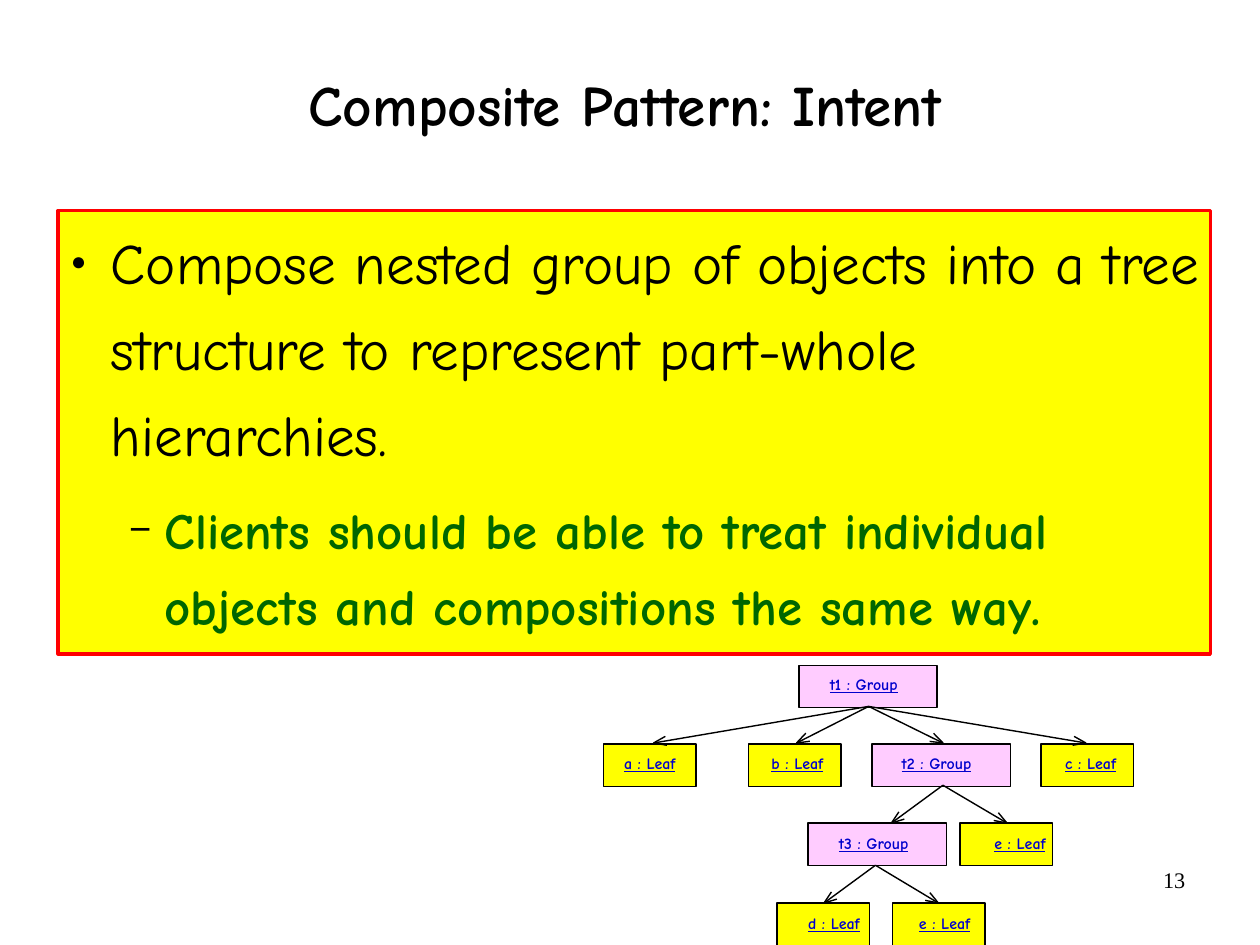
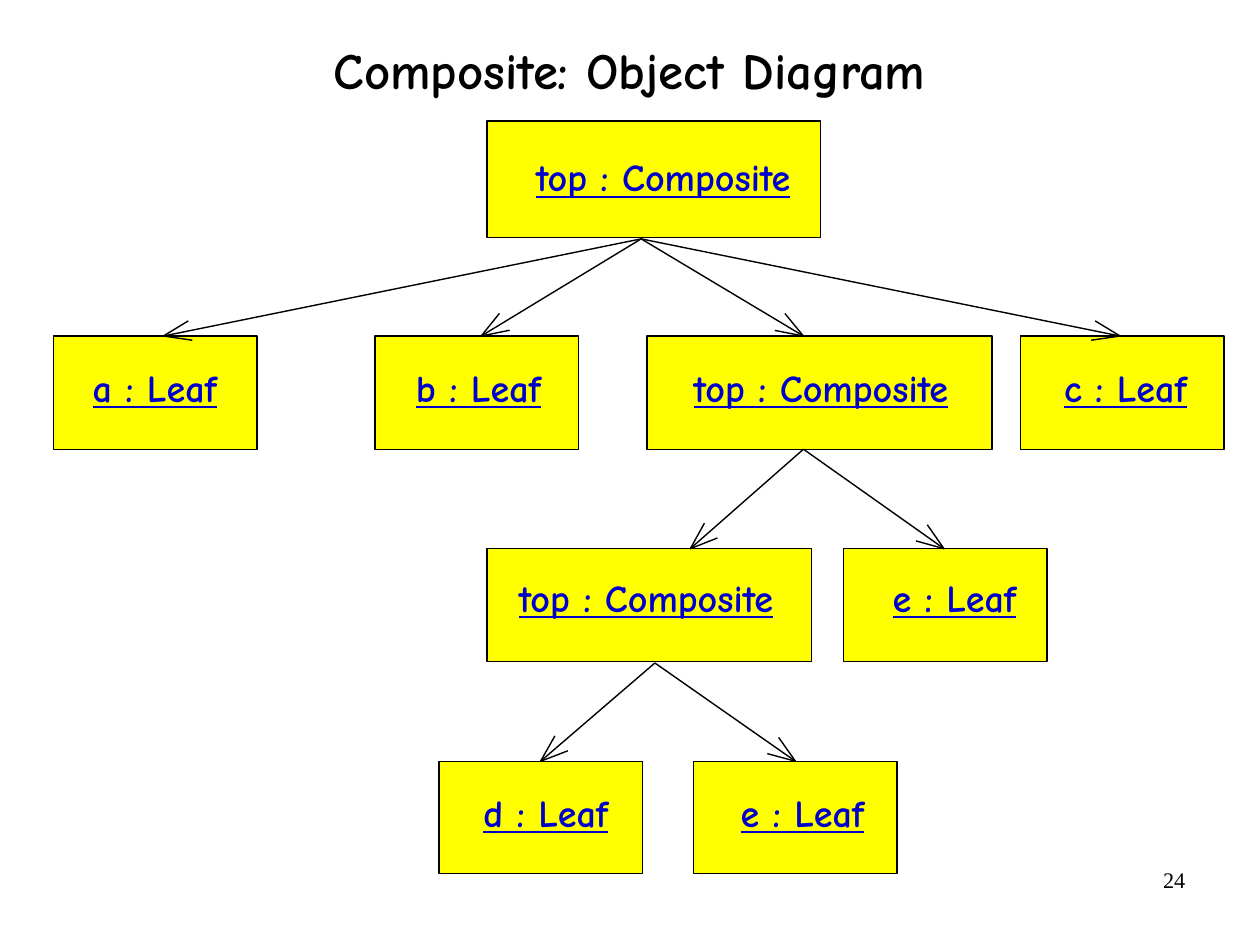
import math

import pptx
import pptx.dml.color
import pptx.enum.shapes
import pptx.enum.text
import pptx.oxml
import pptx.oxml.ns
import pptx.util

RGBColor = pptx.dml.color.RGBColor
ALIGN = pptx.enum.text.PP_ALIGN
ANCHOR = pptx.enum.text.MSO_ANCHOR

# Shared style
PX = 9144  # 100 px to the inch
SLIDE_WIDTH = pptx.util.Emu(10080625)
SLIDE_HEIGHT = pptx.util.Emu(7559675)
BLACK = RGBColor(0x00, 0x00, 0x00)
YELLOW = RGBColor(0xFF, 0xFF, 0x00)
PINK = RGBColor(0xFF, 0xCC, 0xFF)
RED = RGBColor(0xFF, 0x00, 0x00)
GREEN = RGBColor(0x00, 0x66, 0x00)
BLUE = RGBColor(0x00, 0x00, 0xCC)
HAND_FONT = "Comic Neue"
NUMBER_FONT = "Times New Roman"
THIN = 0.88

# Tree rows: top, height, label offset, then (label, left, width, label left)
GROUP_ROWS = [
    (582, 37, 10, [("t1 : Group", 699, 121, 726)]),
    (651, 37, 10, [("a : Leaf", 528, 81, 546), ("b : Leaf", 655, 81, 675),
                   ("t2 : Group", 763, 121, 789), ("c : Leaf", 911, 81, 932)]),
    (720, 37, 11, [("t3 : Group", 707, 121, 734), ("e : Leaf", 840, 81, 870)]),
    (790, 37, 11, [("d : Leaf", 680, 81, 707), ("e : Leaf", 781, 81, 804)]),
]
COMPOSITE_ROWS = [
    (106, 102, 33, [("top : Composite", 426, 292, 469)]),
    (294, 99, 29, [("a : Leaf", 47, 178, 81), ("b : Leaf", 328, 178, 364),
                   ("top : Composite", 566, 302, 607), ("c : Leaf", 893, 178, 931)]),
    (480, 99, 27, [("top : Composite", 426, 284, 454), ("e : Leaf", 738, 178, 781)]),
    (666, 98, 29, [("d : Leaf", 384, 178, 423), ("e : Leaf", 607, 178, 648)]),
]

# Arrow fans: start x, start y, end y, end xs
GROUP_FANS = [
    (760, 618, 650, (572, 697, 825, 950)),
    (825, 687, 720, (780, 881)),
    (766, 757, 790, (721, 821)),
]
COMPOSITE_FANS = [
    (561, 209, 294, (143, 421, 703, 980)),
    (703, 393, 480, (604, 826)),
    (573, 580, 666, (473, 696)),
]


def px(*lengths):
    return [pptx.util.Emu(round(length * PX)) for length in lengths]


def write_text(paragraph, text, size, font=HAND_FONT, color=BLACK, bold=False,
               underline=False, align=ALIGN.LEFT, spacing=1.0, before=0, after=0):
    paragraph.alignment = align
    paragraph.line_spacing = spacing
    paragraph.space_before = pptx.util.Pt(before)
    paragraph.space_after = pptx.util.Pt(after)
    run = paragraph.add_run()
    run.text = text
    run.font.name = font
    run.font.size = pptx.util.Pt(size)
    run.font.bold = bold
    run.font.underline = underline
    run.font.color.rgb = color


def set_frame(shape, left=0, top=0, right=0, bottom=0, anchor=ANCHOR.TOP):
    frame = shape.text_frame
    frame.word_wrap = True
    frame.auto_size = pptx.enum.text.MSO_AUTO_SIZE.NONE
    frame.vertical_anchor = anchor
    (frame.margin_left, frame.margin_top,
     frame.margin_right, frame.margin_bottom) = px(left, top, right, bottom)
    return frame


def place(shape, left, top, width, height):
    shape.left, shape.top, shape.width, shape.height = px(left, top, width, height)


def outline(shape, color=BLACK, width=THIN):
    shape.line.color.rgb = color
    shape.line.width = pptx.util.Pt(width)


def add_bullet(paragraph, char, percent, margin, hanging):
    properties = paragraph._p.get_or_add_pPr()
    text_margin, indent = px(margin, -hanging)
    properties.set("marL", str(text_margin))
    properties.set("indent", str(indent))
    for xml in ('<a:buClr %s><a:srgbClr val="000000"/></a:buClr>',
                f'<a:buSzPct %s val="{percent * 1000}"/>',
                f'<a:buChar %s char="{char}"/>'):
        properties.append(pptx.oxml.parse_xml(xml % pptx.oxml.ns.nsdecls("a")))


def add_slide(deck, layout, title, size, box, number):
    slide = deck.slides.add_slide(deck.slide_layouts[layout])
    place(slide.shapes.title, *box)
    frame = set_frame(slide.shapes.title, anchor=ANCHOR.BOTTOM)
    write_text(frame.paragraphs[0], title, size, bold=True,
               align=ALIGN.CENTER, spacing=0.88)
    # Page number
    page = slide.shapes.add_textbox(*px(790, 753, 257, 57))
    frame = set_frame(page, 10, 5, 10, 5)
    write_text(frame.paragraphs[0], number, 14, font=NUMBER_FONT, align=ALIGN.RIGHT)
    return slide


def add_node(slide, label, box, label_left, label_top, size):
    node = slide.shapes.add_shape(pptx.enum.shapes.MSO_SHAPE.RECTANGLE, *px(*box))
    node.shadow.inherit = False
    node.fill.solid()
    node.fill.fore_color.rgb = PINK if label.endswith("Group") else YELLOW
    outline(node)
    frame = set_frame(node, left=label_left, top=label_top)
    write_text(frame.paragraphs[0], label, size, color=BLUE, bold=True,
               underline=True, spacing=0.9)


def add_arrow(slide, start, end, head):
    shaft = slide.shapes.add_connector(pptx.enum.shapes.MSO_CONNECTOR.STRAIGHT,
                                       *px(*start, *end))
    outline(shaft)
    shaft._element.spPr.append(
        pptx.oxml.parse_xml("<a:effectLst %s/>" % pptx.oxml.ns.nsdecls("a")))
    # Open head: two barbs mirrored about the shaft
    angle = math.atan2(end[1] - start[1], end[0] - start[0])
    back_x, back_y = -head * math.cos(angle), -head * math.sin(angle)
    spread = 0.36
    barbs = [px(end[0] + back_x - side * back_y, end[1] + back_y + side * back_x)
             for side in (spread, -spread)]
    builder = slide.shapes.build_freeform(*barbs[0])
    builder.add_line_segments([px(*end), barbs[1]], close=False)
    tip = builder.convert_to_shape()
    tip.shadow.inherit = False
    tip.fill.background()
    outline(tip)


def add_tree(slide, rows, fans, size, head):
    for top, height, label_top, nodes in rows:
        for label, left, width, label_left in nodes:
            add_node(slide, label, (left, top, width, height),
                     label_left - left, label_top, size)
    for start_x, start_y, end_y, end_xs in fans:
        for end_x in end_xs:
            add_arrow(slide, (start_x, start_y), (end_x, end_y), head)


def add_intent(slide):
    panel = slide.placeholders[1]
    place(panel, 51, 184, 1008, 388)
    panel.fill.solid()
    panel.fill.fore_color.rgb = YELLOW
    outline(panel, RED, 2.25)
    frame = set_frame(panel)
    intent = frame.paragraphs[0]
    add_bullet(intent, "●", 45, 46, 35)
    write_text(intent, "Compose nested group of objects into a tree structure "
               "to represent part-whole hierarchies.", 36, spacing=1.25)
    benefit = frame.add_paragraph()
    benefit.level = 1
    add_bullet(benefit, "−", 75, 93, 31)
    write_text(benefit, "Clients should be able to treat individual objects and "
               "compositions the same way.", 32, color=GREEN, bold=True,
               spacing=1.25, before=10, after=10)


def main():
    deck = pptx.Presentation()
    deck.slide_width, deck.slide_height = SLIDE_WIDTH, SLIDE_HEIGHT

    # Intent, with a small tree of groups
    slide = add_slide(deck, 1, "Composite Pattern: Intent", 36,
                      (51, -17, 992, 138), "13")
    add_intent(slide)
    add_tree(slide, GROUP_ROWS, GROUP_FANS, size=10, head=11)

    # Object diagram
    slide = add_slide(deck, 5, "Composite: Object Diagram", 32,
                      (55, 33, 992, 55), "24")
    add_tree(slide, COMPOSITE_ROWS, COMPOSITE_FANS, size=24, head=24)

    deck.save("out.pptx")


if __name__ == "__main__":
    main()
